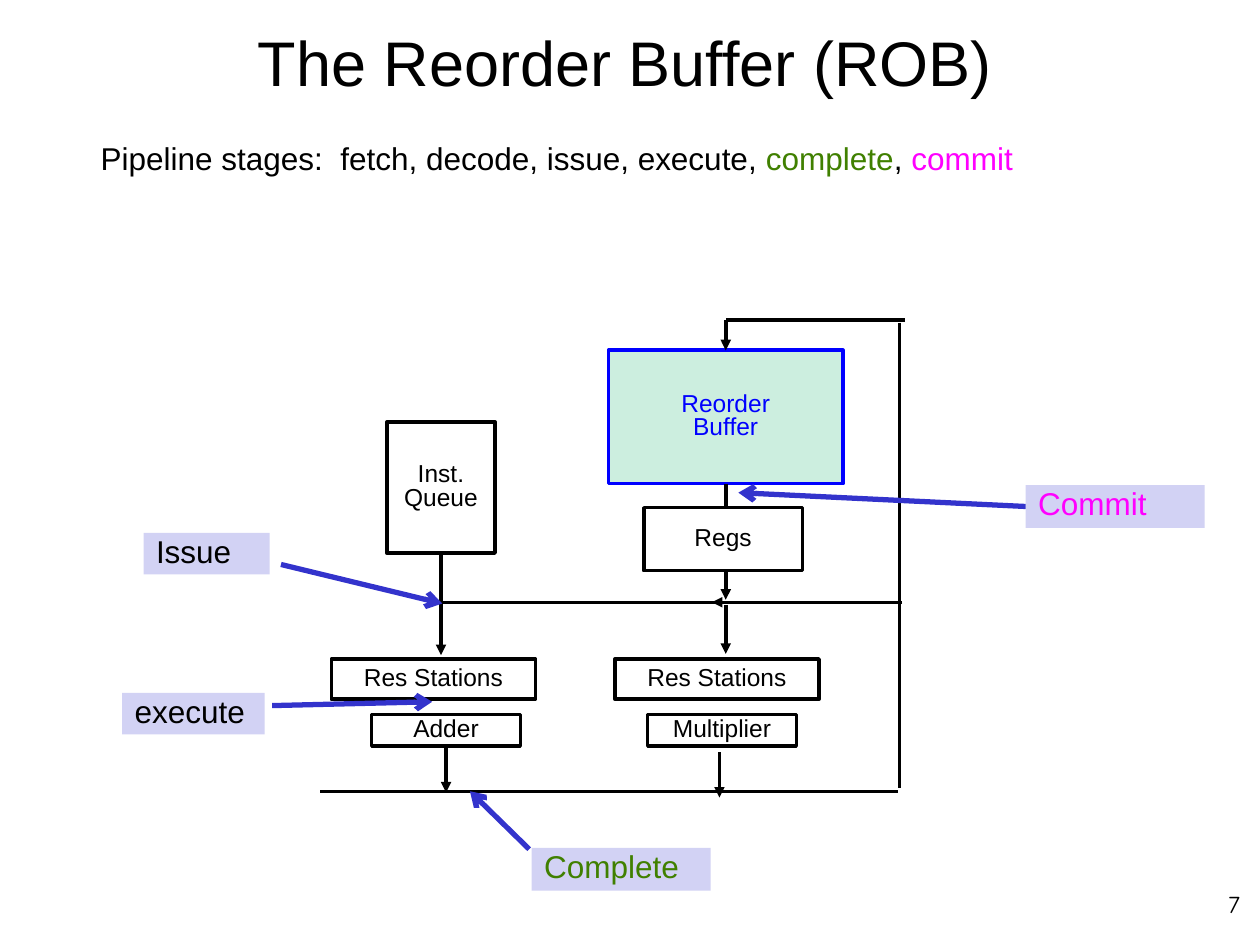
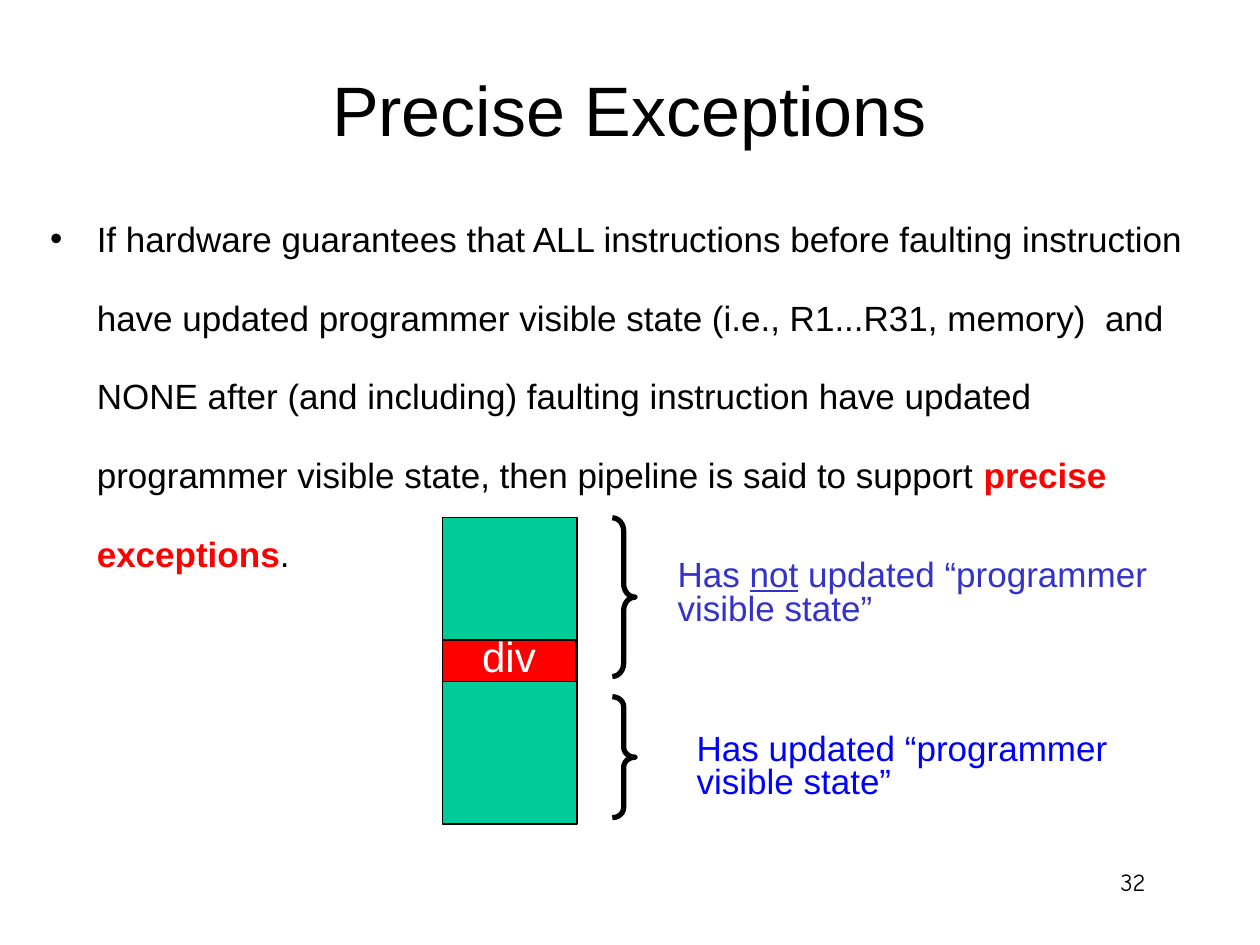
from lxml.etree import SubElement
from pptx import Presentation
from pptx.dml.color import RGBColor
from pptx.enum.shapes import MSO_CONNECTOR, MSO_SHAPE
from pptx.enum.text import MSO_ANCHOR, MSO_AUTO_SIZE, PP_ALIGN
from pptx.oxml.ns import qn
from pptx.util import Pt

PX = 9144  # 100 px to the inch
FONT, NUMBER_FONT = "Arial", "Comic Neue"
TIGHT, WIDE = 0.8, 1.88  # line spacing
TOP, BOTTOM, LEFT = 0, 2, 1  # connection sites
COLORS = {
    "black": "000000", "white": "FFFFFF", "blue": "0000FF", "indigo": "3333CC",
    "lilac": "D2D2F4", "mint": "CCEEDF", "teal": "00CC99", "red": "FF0000",
    "green": "408000", "magenta": "FF00FF",
}

# Content: paragraphs are lists of (text, color, style) spans
STAGES = [
    ("Pipeline stages:  fetch, decode, issue, execute, ", "black", ""),
    ("complete", "green", ""), (", ", "black", ""), ("commit", "magenta", ""),
]
# name: (lines, area, fill, ink)
BLOCKS = {
    "rob": (["Reorder", "Buffer"], (483, 278, 186, 106), "mint", "blue"),
    "queue": (["Inst.", "Queue"], (307, 335, 86, 104), "white", "black"),
    "adder": (["Adder"], (295, 567, 118, 25), "white", "black"),
    "multiplier": (["Multiplier"], (514, 567, 118, 25), "white", "black"),
    "adder stations": (["Res Stations"], (263, 523, 162, 32), "white", "black"),
    "multiplier stations": (["Res Stations"], (488, 523, 162, 32), "white", "black"),
}
REGS = (["Regs"], (511, 403, 126, 50), "white", "black")
# (start, end, arrowhead, begin joint, end joint)
WIRES = [
    ((254, 628), (713, 628), None, None, None),
    ((714, 256), (714, 625), None, None, None),
    ((718, 254), (576, 254), None, None, None),
    ((576, 254), (576, 278), "triangle", None, ("rob", TOP)),
    ((354, 592), (354, 629), "triangle", ("adder", BOTTOM), None),
    ((571, 597), (571, 633), "triangle", None, None),
    ((350, 439), (350, 520), "triangle", ("queue", BOTTOM), None),
    ((351, 478), (569, 478), None, None, None),
    ((576, 480), (576, 519), "triangle", None, None),
    ((576, 384), (576, 476), "triangle", ("rob", BOTTOM), None),
    ((716, 478), (565, 478), "triangle", None, None),
]
# (text, color, area, pointer start, pointer end, begin side)
LABELS = [
    ("Commit", "magenta", (814, 385, 142, 34), (814, 402), (586, 391), LEFT),
    ("Complete", "green", (422, 673, 142, 34), (420, 674), (373, 628), None),
    ("Issue", "black", (114, 423, 100, 33), (223, 448), (351, 479), None),
    ("execute", "black", (97, 550, 113, 33), (216, 560), (343, 557), None),
]
PRECISE = [
    ("If hardware guarantees that ALL instructions before faulting instruction "
     "have updated programmer visible state (i.e., R1...R31, memory)  and NONE "
     "after (and including) faulting instruction have updated programmer visible "
     "state, then pipeline is said to support ", "black", ""),
    ("precise exceptions", "red", "bold"), (".", "black", ""),
]
# (brace area, brace curl, note area, note spans)
RANGES = [
    ((486, 411, 18, 126), 0.583, (528, 440, 397, 61),
     [("Has ", "indigo", ""), ("not", "indigo", "underline"),
      (" updated “programmer visible state”", "indigo", "")]),
    ((486, 553, 18, 96), 0.442, (543, 578, 397, 61),
     [("Has updated “programmer visible state”", "blue", "")]),
]


def rgb(name):
    return RGBColor.from_string(COLORS[name])


def emu(lengths):
    return [length * PX for length in lengths]


def write(box, paragraphs, size, align=PP_ALIGN.LEFT, spacing=1.0,
          anchor=MSO_ANCHOR.TOP, wrap=True, font=FONT):
    frame = box.text_frame
    frame.auto_size = MSO_AUTO_SIZE.NONE
    frame.word_wrap = wrap
    frame.vertical_anchor = anchor
    for index, spans in enumerate(paragraphs):
        para = frame.add_paragraph() if index else frame.paragraphs[0]
        para.alignment, para.line_spacing = align, spacing
        para.space_before = Pt(0)
        for text, color, style in spans:
            span = para.add_run()
            span.text = text
            span.font.name, span.font.size = font, Pt(size)
            span.font.color.rgb = rgb(color)
            span.font.bold = style == "bold"
            span.font.underline = style == "underline"
    return frame.paragraphs[0]


def add_text(page, area, spans, size, **options):
    box = page.shapes.add_textbox(*emu(area))
    return write(box, [spans], size, **options)


def indent(para, margin, hanging, bullet=None):
    props = para._p.get_or_add_pPr()
    props.set("marL", str(margin * PX))
    props.set("indent", str(-hanging * PX))
    if bullet:
        SubElement(props, qn("a:buFont")).set("typeface", FONT)
        SubElement(props, qn("a:buChar")).set("char", bullet)


def add_shape(page, kind, area, fill=None, line=None, width=2):
    shape = page.shapes.add_shape(kind, *emu(area))
    shape.shadow.inherit = False
    if fill:
        shape.fill.solid()
        shape.fill.fore_color.rgb = rgb(fill)
    else:
        shape.fill.background()
    if line:
        shape.line.color.rgb = rgb(line)
        shape.line.width = Pt(width)
    else:
        shape.line.fill.background()
    return shape


def add_block(page, lines, area, fill, ink):
    block = add_shape(page, MSO_SHAPE.RECTANGLE, area, fill, ink)
    write(block, [[(text, ink, "")] for text in lines], 14, align=PP_ALIGN.CENTER,
          spacing=TIGHT, anchor=MSO_ANCHOR.MIDDLE, wrap=False)
    return block


def add_line(page, start, end, color, width, head=None, begin=None, finish=None):
    line = page.shapes.add_connector(MSO_CONNECTOR.STRAIGHT, *emu(start + end))
    line.line.color.rgb = rgb(color)
    line.line.width = Pt(width)
    if head:
        SubElement(line.line._get_or_add_ln(), qn("a:tailEnd")).set("type", head)
    SubElement(line._element.spPr, qn("a:effectLst"))
    if begin:
        line.begin_connect(*begin)
    if finish:
        line.end_connect(*finish)


def add_page(deck, title, area, size, number, number_area):
    page = deck.slides.add_slide(deck.slide_layouts[5])
    box = page.shapes.title
    box.left, box.top, box.width, box.height = emu(area)
    write(box, [[(title, "black", "")]], size, align=PP_ALIGN.CENTER,
          spacing=WIDE, anchor=MSO_ANCHOR.MIDDLE)
    add_text(page, number_area, [(number, "black", "")], 14,
             align=PP_ALIGN.RIGHT, font=NUMBER_FONT)
    return page


def build_reorder_buffer(deck):
    page = add_page(deck, "The Reorder Buffer (ROB)", (57, 0, 878, 45), 36,
                    "7", (792, 701, 202, 49))
    indent(add_text(page, (20, 105, 980, 101), STAGES, 18), 81, 31)

    # Pipeline diagram
    blocks = {name: add_block(page, *block) for name, block in BLOCKS.items()}
    for start, end, head, begin, finish in WIRES:
        joints = [joint and (blocks[joint[0]], joint[1]) for joint in (begin, finish)]
        add_line(page, start, end, "black", 2, head, *joints)
    add_block(page, *REGS)

    # Stage labels with pointers
    for text, color, area, start, end, side in LABELS:
        label = add_shape(page, MSO_SHAPE.RECTANGLE, area, "lilac")
        write(label, [[(text, color, "")]], 18, spacing=TIGHT)
        add_line(page, start, end, "indigo", 3, "arrow",
                 (label, side) if side is not None else None)


def build_precise_exceptions(deck):
    page = add_page(deck, "Precise Exceptions", (75, -46, 849, 206), 40,
                    "32", (717, 683, 202, 49))
    indent(add_text(page, (30, 138, 936, 182), PRECISE, 20, spacing=WIDE), 37, 37, "•")

    # Instruction stream with the faulting instruction
    add_shape(page, MSO_SHAPE.RECTANGLE, (351, 411, 107, 243), "teal", "black", 0.75)
    fault = add_shape(page, MSO_SHAPE.RECTANGLE, (351, 508, 106, 33), "red", "black", 0.75)
    write(fault, [[("div", "white", "")]], 24, align=PP_ALIGN.CENTER,
          spacing=TIGHT, anchor=MSO_ANCHOR.MIDDLE, wrap=False)

    # Braces and their notes
    for brace_area, curl, note_area, note in RANGES:
        brace = add_shape(page, MSO_SHAPE.RIGHT_BRACE, brace_area, None, "black", 3)
        brace.adjustments[0] = curl
        add_text(page, note_area, note, 20, spacing=TIGHT)


def main():
    deck = Presentation()
    deck.slide_width, deck.slide_height = emu((1000, 750))
    build_reorder_buffer(deck)
    build_precise_exceptions(deck)
    deck.save("out.pptx")


if __name__ == "__main__":
    main()
